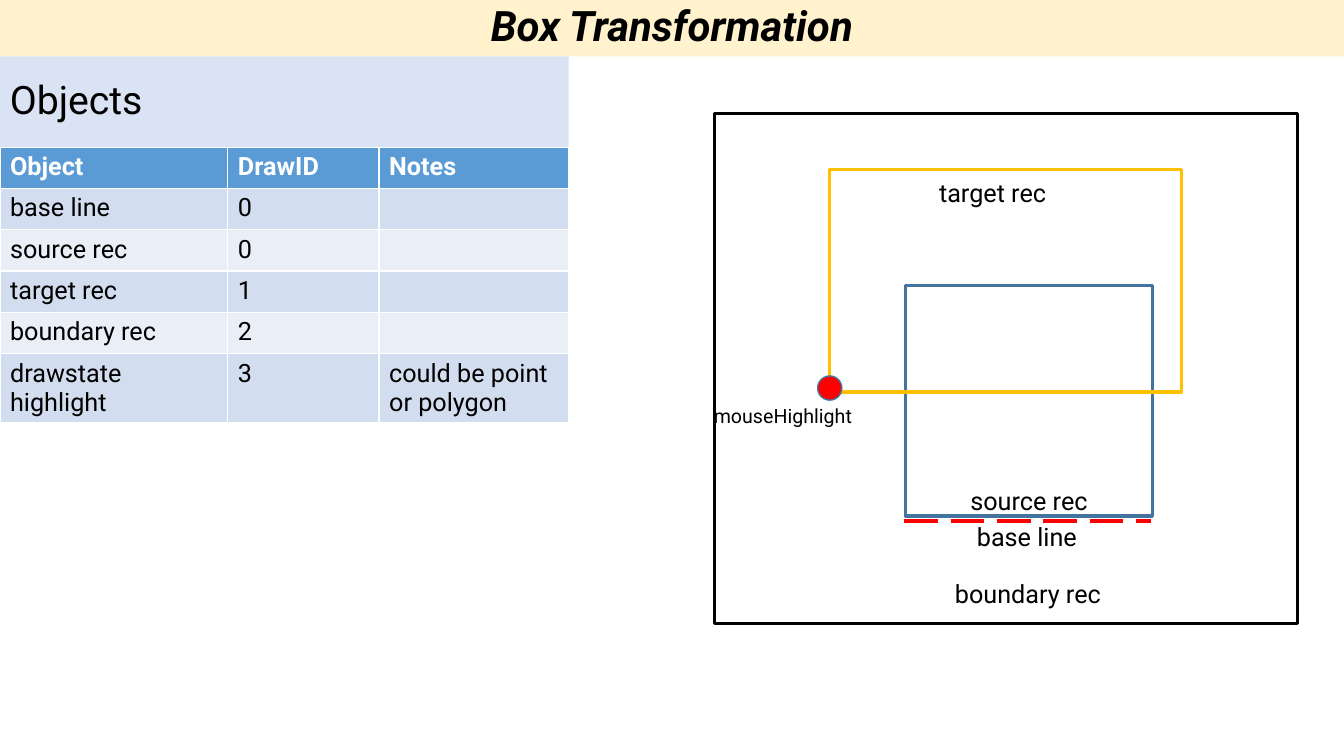
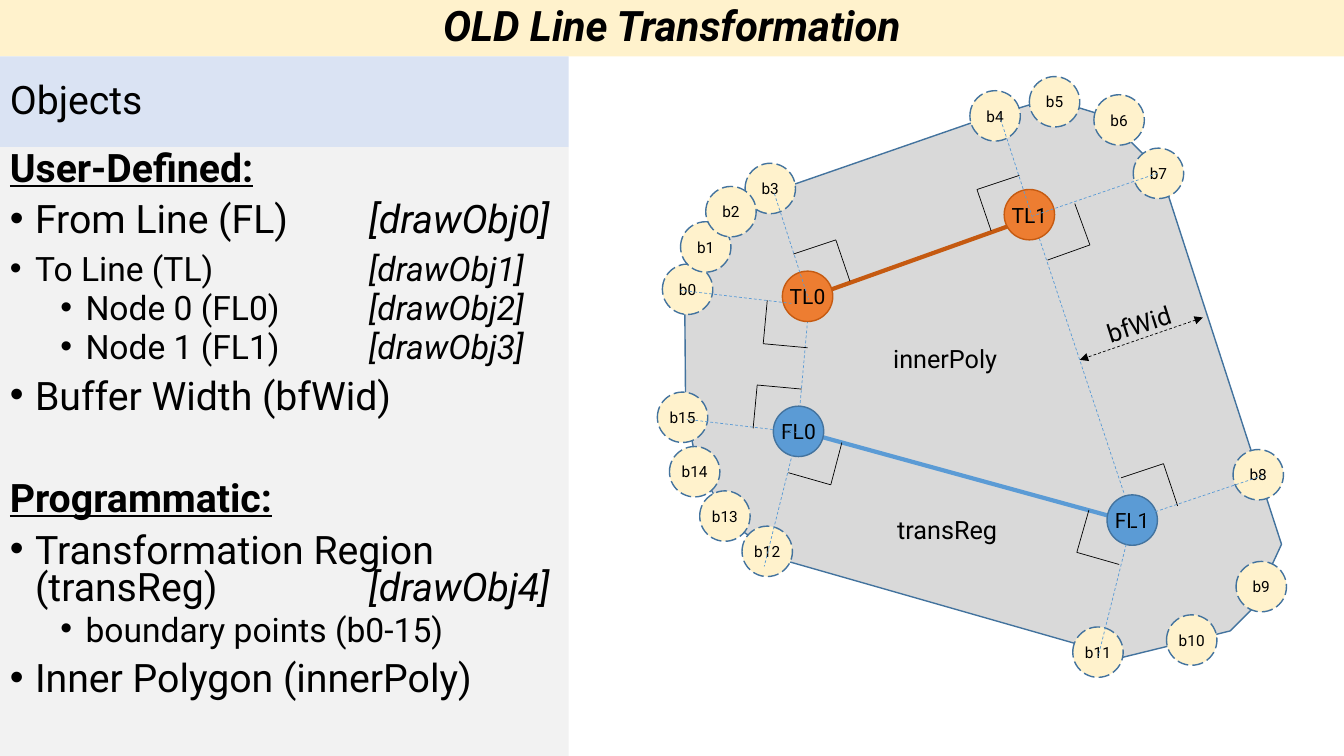
from pptx import Presentation
from pptx.dml.color import RGBColor
from pptx.enum.dml import MSO_LINE
from pptx.enum.shapes import MSO_CONNECTOR, MSO_SHAPE
from pptx.enum.text import MSO_ANCHOR, PP_ALIGN
from pptx.oxml.ns import qn
from pptx.util import Inches, Pt
from lxml.etree import SubElement

FONT = "Roboto"
BLACK = RGBColor(0x00, 0x00, 0x00)
WHITE = RGBColor(0xFF, 0xFF, 0xFF)
CREAM = RGBColor(0xFF, 0xF2, 0xCC)
LAVENDER = RGBColor(0xDA, 0xE3, 0xF3)
PALE_GREY = RGBColor(0xF2, 0xF2, 0xF2)
GREY = RGBColor(0xD9, 0xD9, 0xD9)
BLUE = RGBColor(0x5B, 0x9B, 0xD5)
DARK_BLUE = RGBColor(0x43, 0x73, 0x9E)
BAND_DARK = RGBColor(0xD2, 0xDE, 0xEF)
BAND_LIGHT = RGBColor(0xEA, 0xEF, 0xF7)
ORANGE = RGBColor(0xED, 0x7D, 0x31)
DARK_ORANGE = RGBColor(0xC5, 0x5A, 0x11)
GOLD = RGBColor(0xFF, 0xC0, 0x00)
RED = RGBColor(0xFF, 0x00, 0x00)

PAGE_WIDTH, PAGE_HEIGHT = 13.33, 7.5
TITLE_HEIGHT = 0.56
PANEL_WIDTH, HEADING_HEIGHT = 5.64, 0.9
PANEL_TOP = TITLE_HEIGHT + HEADING_HEIGHT
TAB_STOP = 3.56
CIRCLE = 0.5

OBJECT_COLUMNS = [2.26, 1.5, 1.88]
ROW_HEIGHT, LAST_ROW_HEIGHT = 0.41, 0.68
OBJECT_ROWS = [
    ("Object", "DrawID", "Notes"),
    ("base line", "0", ""),
    ("source rec", "0", ""),
    ("target rec", "1", ""),
    ("boundary rec", "2", ""),
    ("drawstate highlight", "3", "could be point or polygon"),
]
RECTANGLES = [
    ((8.98, 2.83, 2.45, 2.29), DARK_BLUE),
    ((8.23, 1.68, 3.49, 2.21), GOLD),
    ((7.09, 1.13, 5.78, 5.06), BLACK),
]
BOX_LABELS = [
    ("source rec", 8.98, 4.77),
    ("target rec", 8.62, 1.71),
    ("boundary rec", 8.97, 5.69),
    ("base line", 8.96, 5.12),
]

STYLES = {
    "heading": dict(size=28, left=0, before=10),
    "item": dict(size=28, left=0.25, before=10),
    "small item": dict(size=24, left=0.25, before=10),
    "sub-item": dict(size=24, left=0.75, before=5),
}
SECTION_GAP = 46
OUTLINE = [
    ("heading", "User-Defined:", ""),
    ("item", "From Line (FL) ", "[drawObj0]"),
    ("small item", "To Line (TL) ", "[drawObj1]"),
    ("sub-item", "Node 0 (FL0) ", "[drawObj2]"),
    ("sub-item", "Node 1 (FL1) ", "[drawObj3]"),
    ("item", "Buffer Width (bfWid)", ""),
    ("heading", "Programmatic:", ""),
    ("item", "Transformation Region (transReg) ", "[drawObj4]"),
    ("sub-item", "boundary points (b0-15)", ""),
    ("item", "Inner Polygon (innerPoly)", ""),
]

REGION = [
    (7.7, 1.89), (7.21, 2.12), (7.01, 2.4), (6.79, 2.85), (6.8, 4.04),
    (6.9, 4.56), (7.06, 4.87), (7.22, 5.17), (7.78, 5.56), (11.14, 6.52),
    (12.2, 6.26), (12.41, 6.05), (12.71, 5.4), (11.51, 1.7),
    (10.96, 1.15), (10.41, 0.98), (9.72, 1.19),
]
SIDES = [((10.23, 2.13), (11.15, 4.9)), ((8.01, 3.18), (7.92, 4.18))]
FROM_LINE = (7.95, 4.28), (11.41, 5.23)
TO_LINE = (8.11, 2.92), (10.32, 2.13)
NODES = [
    ("FL0", 7.67, 4.03, BLUE, DARK_BLUE),
    ("FL1", 10.98, 4.91, BLUE, DARK_BLUE),
    ("TL0", 7.76, 2.69, ORANGE, DARK_ORANGE),
    ("TL1", 9.96, 1.88, ORANGE, DARK_ORANGE),
]
BOUNDARY_POINTS = [
    (6.57, 2.62), (6.75, 2.2), (7, 1.85), (7.39, 1.62),
    (9.62, 0.9), (10.21, 0.76), (10.85, 0.94), (11.24, 1.47),
    (12.23, 4.46), (12.26, 5.57), (11.57, 6.1), (10.64, 6.22),
    (7.36, 5.22), (6.94, 4.87), (6.64, 4.43), (6.52, 3.89),
]
DRAW_ORDER = [3, 0, 15, 12, 4, 11, 7, 8, 1, 2, 5, 6, 9, 10, 13, 14]
RAYS = [
    ((11.23, 5.16), (10.89, 6.52)), ((12.52, 4.72), (11.24, 5.15)),
    ((11.48, 1.72), (10.25, 2.14)), ((9.91, 1.14), (10.25, 2.19)),
    ((7.68, 1.92), (8.02, 2.97)), ((7.92, 4.26), (7.58, 5.62)),
    ((7.91, 4.29), (6.81, 4.16)), ((7.85, 3.01), (6.75, 2.88)),
]
RIGHT_ANGLES = [
    ((10.68, 5.48), (10.8, 5.06), (11.1, 5.6)),
    ((11.54, 4.6), (11.68, 5.02), (11.12, 4.74)),
    ((8.24, 4.81), (7.82, 4.69), (8.35, 4.39)),
    ((7.51, 3.82), (7.95, 3.86), (7.47, 4.25)),
    ((7.57, 3.41), (7.61, 2.98), (8.01, 3.45)),
    ((8.29, 2.38), (8.43, 2.79), (7.87, 2.52)),
    ((9.69, 1.88), (10.11, 1.74), (9.83, 2.29)),
    ((10.81, 2.43), (10.39, 2.58), (10.66, 2.02)),
]
WIDTH_ARROW = (11.93, 3.15), (10.71, 3.57)


def style_span(span, size, color=BLACK, bold=False, italic=False):
    font = span.font
    font.name, font.size = FONT, Pt(size)
    font.bold, font.italic = bold, italic
    font.color.rgb = color


def write(frame, text, size, align=PP_ALIGN.LEFT, **look):
    frame.text = text
    frame.word_wrap = True
    para = frame.paragraphs[0]
    para.alignment = align
    for span in para.runs:
        style_span(span, size, **look)


def paint(shape, fill=None, line=None, width=1, dash=None):
    shape.shadow.inherit = False
    if fill is None:
        shape.fill.background()
    else:
        shape.fill.solid()
        shape.fill.fore_color.rgb = fill
    if line is None:
        shape.line.fill.background()
    else:
        shape.line.color.rgb = line
        shape.line.width = Pt(width)
        if dash is not None:
            shape.line.dash_style = dash


def add_preset(page, kind, place, **look):
    shape = page.shapes.add_shape(kind, *map(Inches, place))
    paint(shape, **look)
    return shape


def add_label(page, text, place, size=18, align=PP_ALIGN.CENTER):
    box = page.shapes.add_textbox(*map(Inches, place))
    write(box.text_frame, text, size, align)
    return box


def add_line(page, start, end, color, width, dash=None):
    line = page.shapes.add_connector(MSO_CONNECTOR.STRAIGHT, *map(Inches, start + end))
    line.line.color.rgb = color
    line.line.width = Pt(width)
    if dash is not None:
        line.line.dash_style = dash
    SubElement(line._element.spPr, qn("a:effectLst"))
    return line


def add_circle(page, text, left, top, size, **look):
    circle = add_preset(page, MSO_SHAPE.OVAL, (left, top, CIRCLE, CIRCLE), **look)
    frame = circle.text_frame
    frame.margin_left = frame.margin_right = 0
    frame.vertical_anchor = MSO_ANCHOR.MIDDLE
    write(frame, text, size, PP_ALIGN.CENTER)


def add_band(page, text, place, fill, size, align, **look):
    band = add_preset(page, MSO_SHAPE.RECTANGLE, place, fill=fill)
    band.text_frame.vertical_anchor = MSO_ANCHOR.MIDDLE
    write(band.text_frame, text, size, align, **look)
    band.text_frame.paragraphs[0].line_spacing = 0.9


def add_page(deck, title):
    page = deck.slides.add_slide(deck.slide_layouts[6])
    add_band(page, title, (0, 0, PAGE_WIDTH, TITLE_HEIGHT), CREAM, 30,
             PP_ALIGN.CENTER, bold=True, italic=True)
    add_band(page, "Objects", (0, TITLE_HEIGHT, PANEL_WIDTH, HEADING_HEIGHT),
             LAVENDER, 28, PP_ALIGN.LEFT)
    return page


def add_object_table(page):
    heights = [ROW_HEIGHT] * (len(OBJECT_ROWS) - 1) + [LAST_ROW_HEIGHT]
    table = page.shapes.add_table(
        len(OBJECT_ROWS), len(OBJECT_COLUMNS), 0, Inches(PANEL_TOP),
        Inches(PANEL_WIDTH), Inches(sum(heights))).table
    for column, width in zip(table.columns, OBJECT_COLUMNS):
        column.width = Inches(width)
    for index, (values, height) in enumerate(zip(OBJECT_ROWS, heights)):
        table.rows[index].height = Inches(height)
        header = index == 0
        fill = BLUE if header else (BAND_LIGHT, BAND_DARK)[index % 2]
        for cell, value in zip(table.rows[index].cells, values):
            cell.fill.solid()
            cell.fill.fore_color.rgb = fill
            write(cell.text_frame, value, 18,
                  color=WHITE if header else BLACK, bold=header)


def add_outline(page):
    panel = add_preset(page, MSO_SHAPE.RECTANGLE,
                       (0, PANEL_TOP, PANEL_WIDTH, PAGE_HEIGHT - PANEL_TOP), fill=PALE_GREY)
    frame = panel.text_frame
    frame.word_wrap = True
    frame.vertical_anchor = MSO_ANCHOR.TOP
    for index, (kind, text, drawn) in enumerate(OUTLINE):
        style = STYLES[kind]
        heading = kind == "heading"
        para = frame.add_paragraph() if index else frame.paragraphs[0]
        para.alignment = PP_ALIGN.LEFT
        para.line_spacing = 0.8
        para.space_before = Pt(SECTION_GAP if heading and index else style["before"])
        properties = para._p.get_or_add_pPr()
        if not heading:
            properties.set("marL", str(Inches(style["left"])))
            properties.set("indent", str(Inches(-0.25)))
            SubElement(properties, qn("a:buFont"), typeface="Arial")
            SubElement(properties, qn("a:buChar"), char="•")
        tabs = SubElement(properties, qn("a:tabLst"))
        SubElement(tabs, qn("a:tab"), pos=str(Inches(TAB_STOP)), algn="l")
        span = para.add_run()
        span.text = text + "\t" if drawn else text
        style_span(span, style["size"], bold=heading)
        span.font.underline = heading
        if drawn:
            span = para.add_run()
            span.text = drawn
            style_span(span, style["size"], italic=True)


def add_region(page):
    corners = [(Inches(x), Inches(y)) for x, y in REGION]
    builder = page.shapes.build_freeform(*corners[0])
    builder.add_line_segments(corners[1:], close=True)
    paint(builder.convert_to_shape(), fill=GREY, line=DARK_BLUE)


def build_box_page(deck):
    page = add_page(deck, "Box Transformation")
    add_object_table(page)
    for place, color in RECTANGLES:
        add_preset(page, MSO_SHAPE.RECTANGLE, place, line=color, width=2.25)
    add_line(page, (8.97, 5.17), (11.42, 5.17), RED, 3, MSO_LINE.LONG_DASH)
    for text, left, top in BOX_LABELS:
        add_label(page, text, (left, top, 2.45, 0.4))
    add_preset(page, MSO_SHAPE.OVAL, (8.11, 3.73, 0.24, 0.24), fill=RED, line=DARK_BLUE)
    add_label(page, "mouseHighlight", (6.67, 3.96, 1.88, 0.34), 14, PP_ALIGN.RIGHT)


def build_line_page(deck):
    page = add_page(deck, "OLD Line Transformation")
    add_outline(page)
    add_region(page)
    for start, end in SIDES:
        add_line(page, start, end, BLUE, 0.5, MSO_LINE.DASH)
    add_line(page, *FROM_LINE, BLUE, 3)
    add_line(page, *TO_LINE, DARK_ORANGE, 3)
    for text, left, top, fill, line in NODES:
        add_circle(page, text, left, top, 15, fill=fill, line=line)
    for number in DRAW_ORDER:
        add_circle(page, f"b{number}", *BOUNDARY_POINTS[number], 11,
                   fill=CREAM, line=DARK_BLUE, dash=MSO_LINE.LONG_DASH)
    for start, end in RAYS:
        add_line(page, start, end, BLUE, 0.5, MSO_LINE.DASH)
    for corner, *ends in RIGHT_ANGLES:
        for end in ends:
            add_line(page, corner, end, BLACK, 0.5)
    arrow = add_line(page, *WIDTH_ARROW, BLACK, 0.5, MSO_LINE.DASH)
    for tip in ("a:headEnd", "a:tailEnd"):
        SubElement(arrow.line._get_or_add_ln(), qn(tip), type="triangle")
    add_label(page, "bfWid", (10.63, 3.01, 1.33, 0.4)).rotation = 342.3
    add_label(page, "innerPoly", (8.76, 3.36, 1.45, 0.4), align=PP_ALIGN.LEFT)
    add_label(page, "transReg", (8.8, 5.05, 1.45, 0.4), align=PP_ALIGN.LEFT)


def main():
    deck = Presentation()
    deck.slide_width, deck.slide_height = Inches(PAGE_WIDTH), Inches(PAGE_HEIGHT)
    build_box_page(deck)
    build_line_page(deck)
    deck.save("out.pptx")


if __name__ == "__main__":
    main()
